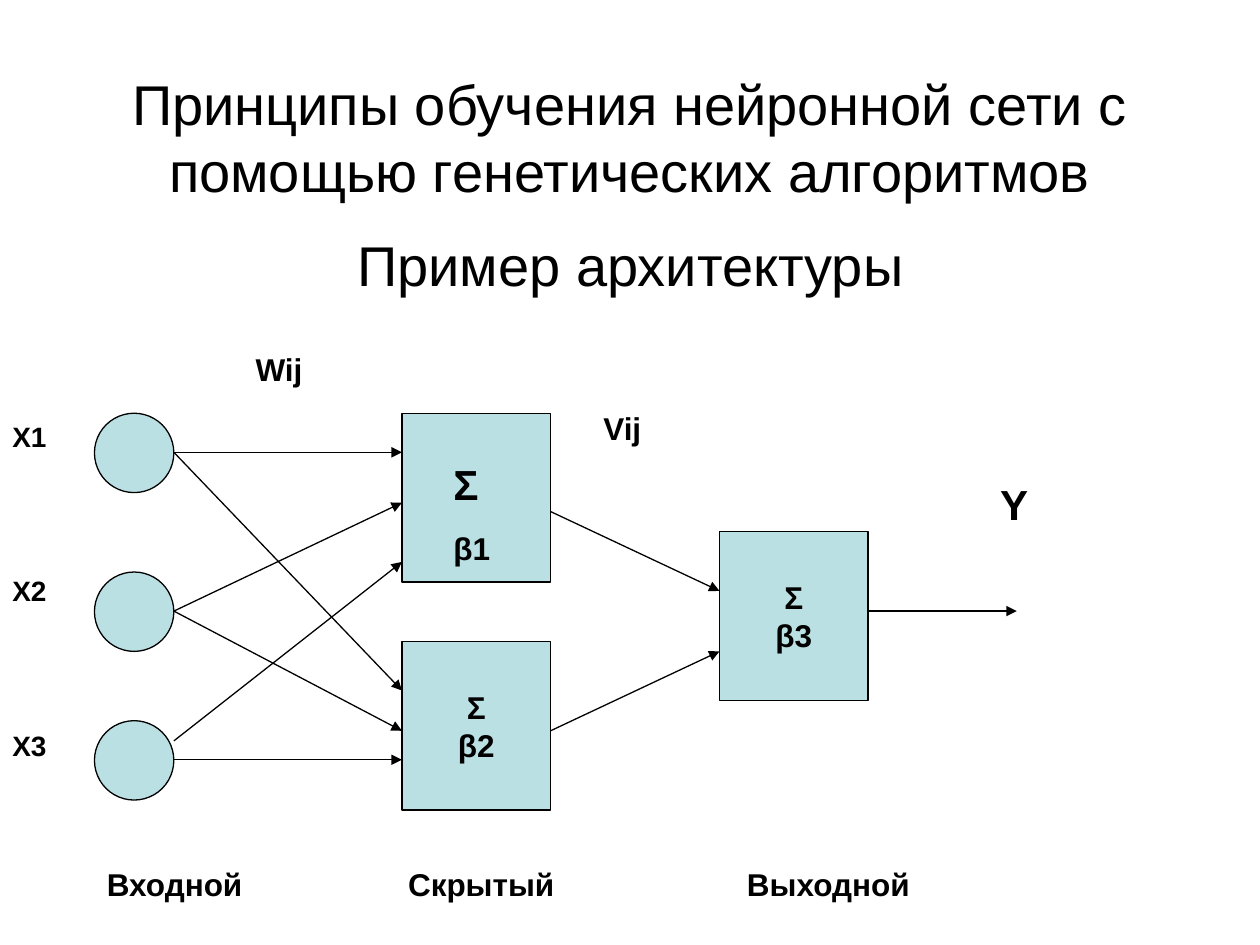
"""Build a slide showing the architecture of a small neural network."""
import pptx
import pptx.dml.color
import pptx.enum.shapes
import pptx.enum.text
import pptx.oxml.ns
import pptx.util
from lxml import etree
from pptx.util import Inches

COLORS = {"text": "000000", "line": "000000", "node": "BBE0E3"}
FONT = "Arial"
CENTER = pptx.enum.text.PP_ALIGN.CENTER
MIDDLE = pptx.enum.text.MSO_ANCHOR.MIDDLE
SHAPES = pptx.enum.shapes.MSO_SHAPE
LINE_WIDTH = 0.75
INPUT_LEFT, HIDDEN_LEFT, OUTPUT_LEFT = 0.75, 3.19, 5.71
INPUT_TOPS = (3.28, 4.54, 5.72)
INPUT_SIZE = 0.63
NEURON_WIDTH, NEURON_HEIGHT = 1.18, 1.34
INPUT_RIGHT = INPUT_LEFT + INPUT_SIZE
HIDDEN_RIGHT = HIDDEN_LEFT + NEURON_WIDTH
OUTPUT_RIGHT = OUTPUT_LEFT + NEURON_WIDTH


def color(name):
    return pptx.dml.color.RGBColor.from_string(COLORS[name])


def add_child(parent, tag, **attributes):
    return etree.SubElement(parent, pptx.oxml.ns.qn(tag), attributes)


def format_text(frame, sizes, bold=True, align=None):
    for para, size in zip(frame.paragraphs, sizes):
        para.alignment = align
        for span in para.runs:
            span.font.name = FONT
            span.font.size = pptx.util.Pt(size)
            span.font.bold = bold
            span.font.color.rgb = color("text")


def set_title(page, text):
    title = page.shapes.title
    title.left, title.top = Inches(0.75), Inches(0.28)
    title.width, title.height = Inches(8.5), Inches(1.61)
    title.text_frame.text = text
    title.text_frame.vertical_anchor = MIDDLE
    format_text(title.text_frame, [32], bold=False, align=CENTER)


def add_label(page, place, lines, sizes, gap=0, bold=True, align=None):
    box = page.shapes.add_textbox(*map(Inches, place))
    frame = box.text_frame
    frame.word_wrap = True
    frame.text = "\n".join(lines)
    format_text(frame, sizes, bold, align)
    for para in frame.paragraphs[1:]:
        para.space_before = pptx.util.Pt(gap)
    return box


def add_layer_names(page, names, stops):
    box = add_label(page, (0.75, 6.82, 8.35, 0.4), ["\t".join(names)], [18])
    properties = box.text_frame.paragraphs[0]._p.get_or_add_pPr()
    tabs = add_child(properties, "a:tabLst")
    for stop in stops:
        add_child(tabs, "a:tab", pos=str(Inches(stop)), algn="l")


def add_node(page, kind, left, top, width, height, lines=()):
    node = page.shapes.add_shape(kind, *map(Inches, (left, top, width, height)))
    node.shadow.inherit = False
    node.fill.solid()
    node.fill.fore_color.rgb = color("node")
    node.line.color.rgb = color("line")
    node.line.width = pptx.util.Pt(LINE_WIDTH)
    if lines:
        frame = node.text_frame
        frame.word_wrap = False
        frame.vertical_anchor = MIDDLE
        frame.text = "\n".join(lines)
        format_text(frame, [18] * len(lines), align=CENTER)


def add_arrow(page, start_x, start_y, end_x, end_y):
    arrow = page.shapes.add_connector(
        pptx.enum.shapes.MSO_CONNECTOR.STRAIGHT,
        *map(Inches, (start_x, start_y, end_x, end_y)))
    arrow.line.color.rgb = color("line")
    arrow.line.width = pptx.util.Pt(LINE_WIDTH)
    add_child(arrow.line._get_or_add_ln(), "a:tailEnd", type="triangle")
    add_child(arrow._element.spPr, "a:effectLst")


def main():
    deck = pptx.Presentation()
    deck.slide_width, deck.slide_height = Inches(10), Inches(7.5)
    page = deck.slides.add_slide(deck.slide_layouts[5])
    set_title(page, "Принципы обучения нейронной сети с помощью генетических алгоритмов")
    add_label(page, (0.2, 1.78, 9.61, 5.51), ["Пример архитектуры"], [32],
              bold=False, align=CENTER)

    for top in INPUT_TOPS:
        add_node(page, SHAPES.OVAL, INPUT_LEFT, top, INPUT_SIZE, INPUT_SIZE)
    for left, top, lines in ((HIDDEN_LEFT, 3.28, ()),
                             (HIDDEN_LEFT, 5.09, ("Σ", "β2")),
                             (OUTPUT_LEFT, 4.22, ("Σ", "β3"))):
        add_node(page, SHAPES.RECTANGLE, left, top, NEURON_WIDTH, NEURON_HEIGHT, lines)

    for start_y, end_y in ((3.59, 3.59), (3.59, 5.48), (4.85, 3.99),
                           (4.85, 5.8), (5.88, 4.46), (6.03, 6.03)):
        add_arrow(page, INPUT_RIGHT, start_y, HIDDEN_LEFT, end_y)
    for start_y, end_y in ((4.06, 4.69), (5.8, 5.17)):
        add_arrow(page, HIDDEN_RIGHT, start_y, OUTPUT_LEFT, end_y)
    add_arrow(page, OUTPUT_RIGHT, 4.85, 8.07, 4.85)

    add_label(page, (0, 3.28, 0.51, 3.61), ["Х1", "Х2", "Х3"], [16] * 3, gap=69)
    add_label(page, (1.93, 2.73, 0.63, 0.4), ["Wij"], [18])
    add_label(page, (4.69, 3.2, 0.63, 0.4), ["Vij"], [18])
    add_label(page, (3.5, 3.59, 0.55, 0.96), ["Σ", "β1"], [24, 18], gap=11.2)
    add_label(page, (7.84, 3.75, 0.94, 0.5), ["Y"], [24])
    add_layer_names(page, ["Входной", "Скрытый", "Выходной"], [2.39, 5.08])
    deck.save("out.pptx")


if __name__ == "__main__":
    main()
